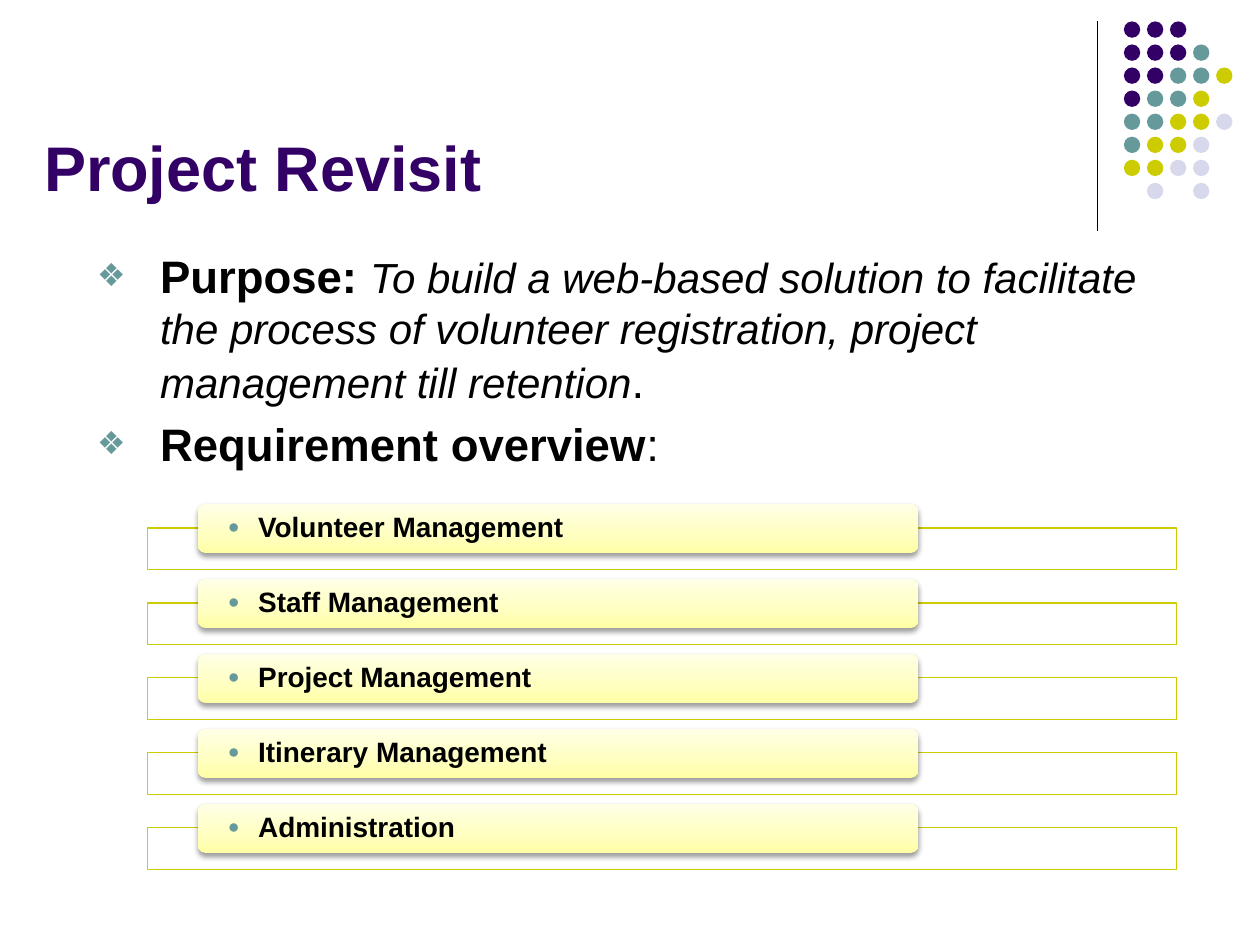
from lxml import etree
from pptx import Presentation
from pptx.dml.color import RGBColor
from pptx.enum.shapes import MSO_CONNECTOR, MSO_SHAPE
from pptx.enum.text import MSO_ANCHOR, MSO_AUTO_SIZE, PP_ALIGN
from pptx.oxml import parse_xml
from pptx.oxml.ns import nsdecls, qn
from pptx.util import Inches, Pt

PURPLE = RGBColor(0x33, 0x00, 0x66)
TEAL = RGBColor(0x66, 0x99, 0x99)
OLIVE = RGBColor(0xCC, 0xCC, 0x00)
LAVENDER = RGBColor(0xD8, 0xD8, 0xEC)
BLACK = RGBColor(0, 0, 0)
CARD_STOPS = [(0, RGBColor(0xFF, 0xFF, 0xA5)), (35, RGBColor(0xFF, 0xFF, 0xBF)),
              (100, RGBColor(0xFF, 0xFF, 0xE7))]

DOT_COLORS = {"P": PURPLE, "T": TEAL, "O": OLIVE, "L": LAVENDER}
DOT_ROWS = ["PPP", "PPPT", "PPTTO", "PTTO", "TTOOL", "TOOL", "OOLL", " L L"]
REQUIREMENTS = ["Volunteer Management", "Staff Management", "Project Management",
                "Itinerary Management", "Administration"]


class SlideBuilder:
    """Holds the style and the current slide."""

    font = "Arial"

    def __init__(self, slide):
        self.slide = slide

    def place(self, shape, left, top, width, height):
        """Move and size a shape, in inches."""
        shape.left, shape.top = Inches(left), Inches(top)
        shape.width, shape.height = Inches(width), Inches(height)

    def run(self, paragraph, text, size, color=BLACK, bold=False, italic=False):
        """Add a formatted run of text."""
        run = paragraph.add_run()
        run.text = text
        font = run.font
        font.name, font.size, font.bold, font.italic = self.font, Pt(size), bold, italic
        font.color.rgb = color

    def bullet(self, paragraph, char, indent):
        """Give a paragraph a teal bullet with a hanging indent."""
        props = paragraph._p.get_or_add_pPr()
        props.set("marL", str(Inches(indent)))
        props.set("indent", str(-Inches(indent)))
        color = etree.SubElement(props, qn("a:buClr"))
        etree.SubElement(color, qn("a:srgbClr"), val=str(TEAL))
        etree.SubElement(props, qn("a:buSzPct"), val="70000")
        etree.SubElement(props, qn("a:buFont"), typeface=self.font)
        etree.SubElement(props, qn("a:buChar"), char=char)

    def title(self, text, *box):
        """Fill the title placeholder."""
        shape = self.slide.shapes.title
        self.place(shape, *box)
        frame = shape.text_frame
        frame.auto_size = MSO_AUTO_SIZE.NONE
        frame.vertical_anchor = MSO_ANCHOR.BOTTOM
        frame.paragraphs[0].alignment = PP_ALIGN.LEFT
        self.run(frame.paragraphs[0], text, 36, PURPLE, bold=True)

    def body(self, items, *box):
        """Fill the body placeholder; each item is a list of run arguments."""
        shape = self.slide.placeholders[1]
        self.place(shape, *box)
        frame = shape.text_frame
        frame.auto_size = MSO_AUTO_SIZE.NONE
        for i, runs in enumerate(items):
            paragraph = frame.add_paragraph() if i else frame.paragraphs[0]
            paragraph.space_before = Pt(5)
            self.bullet(paragraph, "\u2756", 0.5)
            for text, size, bold, italic in runs:
                self.run(paragraph, text, size, bold=bold, italic=italic)

    def line(self, x1, y1, x2, y2):
        """Draw a thin black line."""
        line = self.slide.shapes.add_connector(
            MSO_CONNECTOR.STRAIGHT, Inches(x1), Inches(y1), Inches(x2), Inches(y2))
        line.line.color.rgb = BLACK
        line.line.width = Pt(0.75)
        etree.SubElement(line._element.spPr, qn("a:effectLst"))

    def shape(self, kind, left, top, width, height, fill=None, outline=None):
        """Add a flat preset shape."""
        shape = self.slide.shapes.add_shape(
            kind, Inches(left), Inches(top), Inches(width), Inches(height))
        shape.shadow.inherit = False
        if fill is None:
            shape.fill.background()
        else:
            shape.fill.solid()
            shape.fill.fore_color.rgb = fill
        if outline is None:
            shape.line.fill.background()
        else:
            shape.line.color.rgb = outline
            shape.line.width = Pt(0.75)
        return shape

    def card(self, text, *box):
        """Add a rounded gradient card with a soft shadow and a bulleted label."""
        card = self.shape(MSO_SHAPE.ROUNDED_RECTANGLE, *box)
        props = card._element.spPr
        stops = "".join(f'<a:gs pos="{pos * 1000}"><a:srgbClr val="{color}"/></a:gs>'
                        for pos, color in CARD_STOPS)
        props.replace(props.find(qn("a:noFill")), parse_xml(
            f'<a:gradFill {nsdecls("a")} rotWithShape="1"><a:gsLst>{stops}</a:gsLst>'
            '<a:lin ang="16200000" scaled="1"/></a:gradFill>'))
        props.find(qn("a:effectLst")).append(parse_xml(
            f'<a:outerShdw {nsdecls("a")} blurRad="{Pt(3.1)}" dist="{Pt(1.6)}" dir="5400000" '
            'rotWithShape="0"><a:srgbClr val="000000"><a:alpha val="38000"/></a:srgbClr>'
            '</a:outerShdw>'))
        frame = card.text_frame
        frame.word_wrap = True
        frame.vertical_anchor = MSO_ANCHOR.MIDDLE
        frame.margin_left = frame.margin_right = Inches(0.22)
        frame.margin_top = frame.margin_bottom = 0
        paragraph = frame.paragraphs[0]
        paragraph.alignment = PP_ALIGN.LEFT
        paragraph.line_spacing = 0.9
        self.bullet(paragraph, "\u25cf", 0.24)
        self.run(paragraph, text, 16, bold=True)


def main():
    """Build the slide and save it."""
    deck = Presentation()
    deck.slide_width, deck.slide_height = Inches(10), Inches(7.5)
    page = SlideBuilder(deck.slides.add_slide(deck.slide_layouts[1]))

    page.line(8.71, 0.17, 8.71, 1.83)
    dot_pitch = 0.183
    for row, codes in enumerate(DOT_ROWS):
        for col, code in enumerate(codes):
            if code in DOT_COLORS:
                page.shape(MSO_SHAPE.OVAL, 8.92 + col * dot_pitch, 0.17 + row * dot_pitch,
                           0.13, 0.13, DOT_COLORS[code])

    page.title("Project Revisit", 0.25, 0.25, 8.42, 1.42)
    page.body([
        [("Purpose: ", 26, True, False),
         ("To build a web-based solution to facilitate the process of volunteer "
          "registration, project management till retention", 24, False, True),
         (".", 26, False, False)],
        [("Requirement overview", 26, True, False), (":", 26, False, False)],
    ], 0.67, 1.92, 8.75, 1.91)

    row_pitch = 0.595
    for i, name in enumerate(REQUIREMENTS):
        top = 4 + i * row_pitch
        page.shape(MSO_SHAPE.RECTANGLE, 1.17, top + 0.19, 8.17, 0.33, outline=OLIVE)
        page.card(name, 1.57, top, 5.72, 0.39)

    deck.save("out.pptx")


main()
